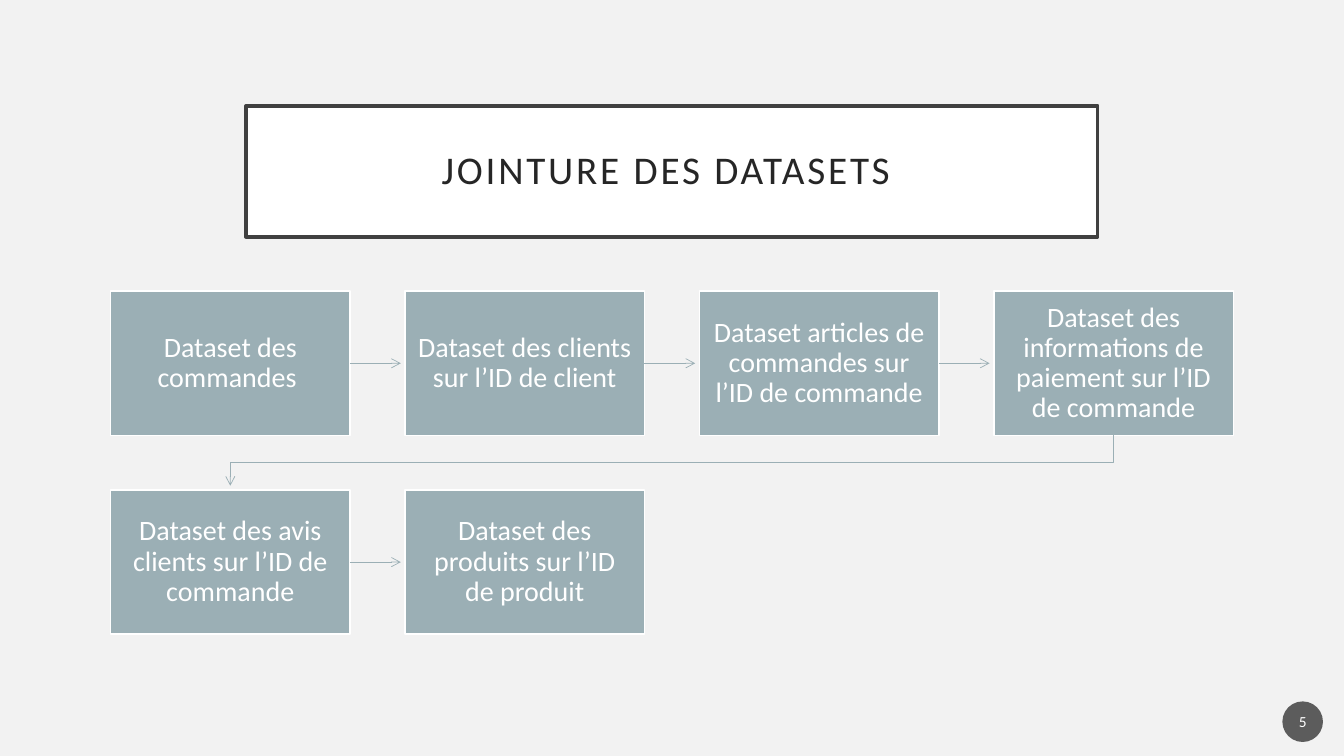
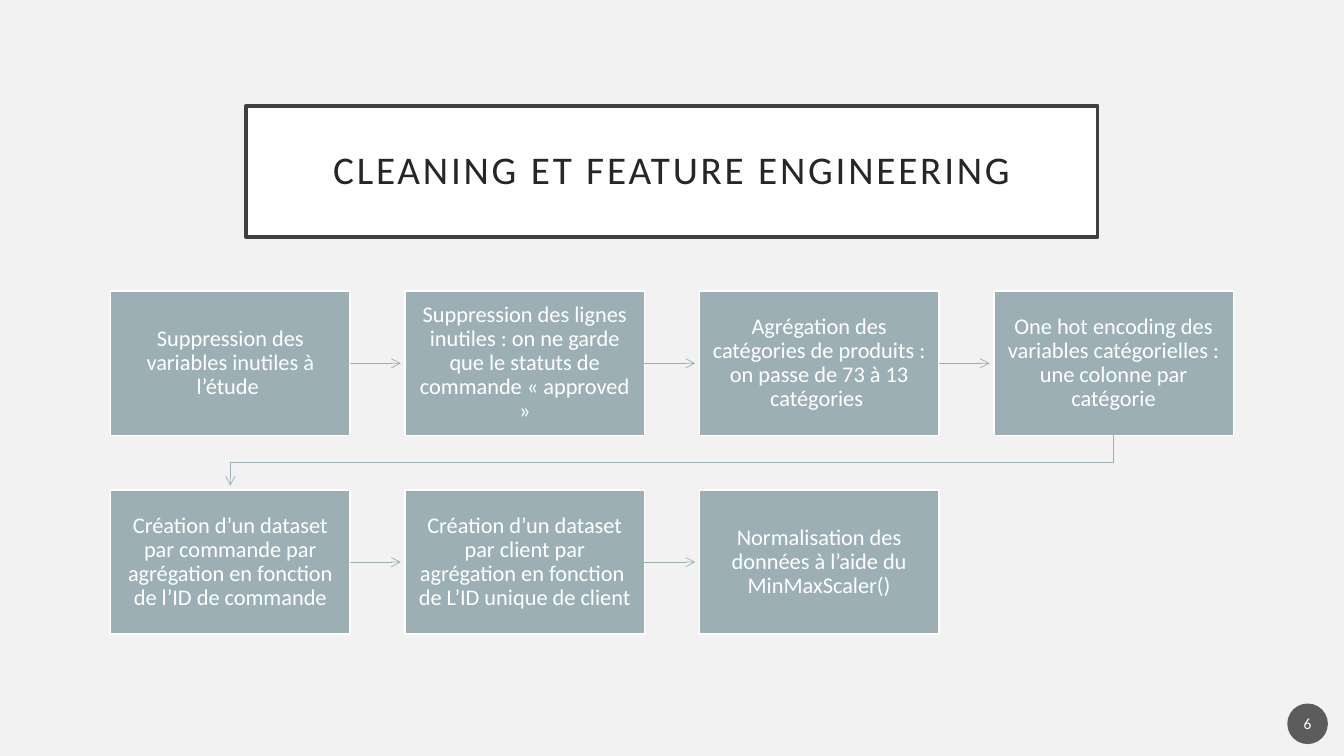
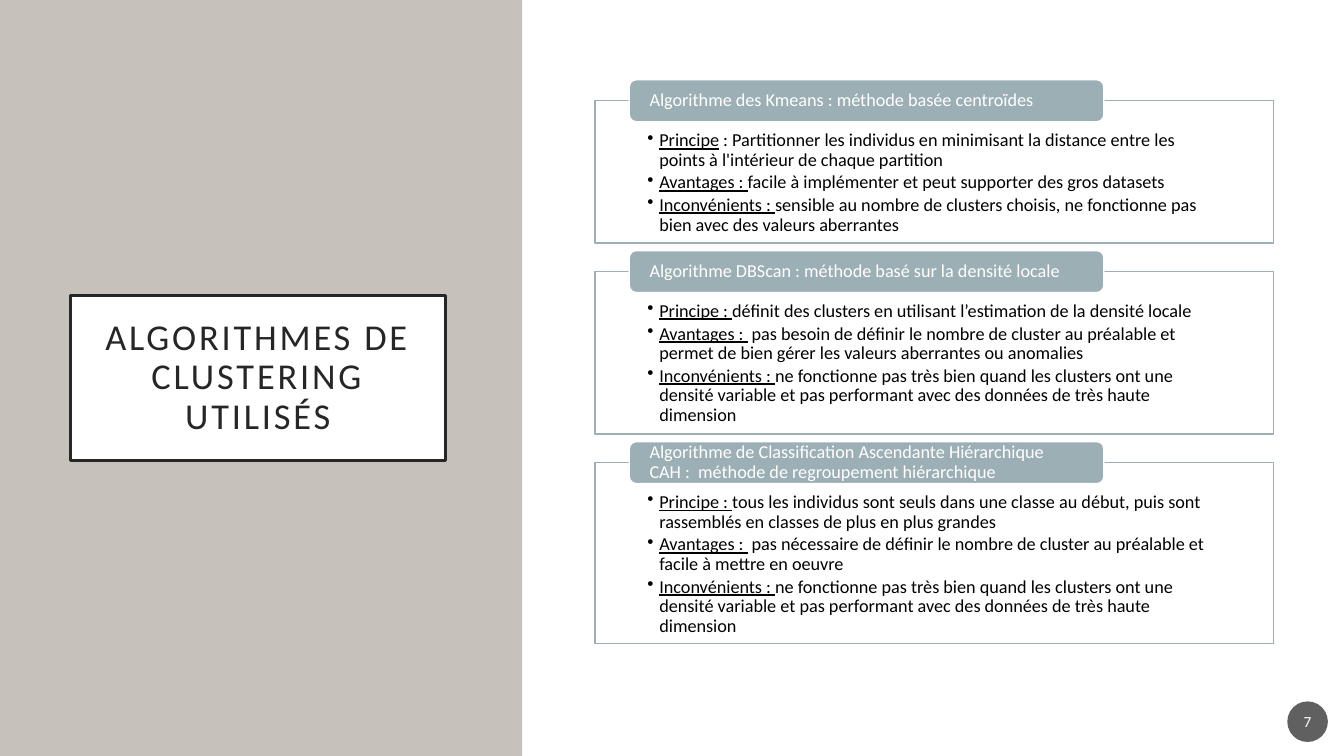
"""Builds three slides on joining datasets, cleaning them and clustering algorithms."""
from lxml import etree
from pptx import Presentation
from pptx import util as u
from pptx.dml import color
from pptx.enum import shapes, text
from pptx.oxml import ns

FONT = "Calibri"
INK, FRAME, STEEL, WHITE = "262626", "404040", "9BAFB5", "FFFFFF"
PALE, SAND, BLACK, BADGE = "F2F2F2", "C6C1BA", "000000", "1D1D1D"
LEFT, CENTER = text.PP_ALIGN.LEFT, text.PP_ALIGN.CENTER
RECT, ROUND, OVAL = (shapes.MSO_SHAPE.RECTANGLE, shapes.MSO_SHAPE.ROUNDED_RECTANGLE,
                     shapes.MSO_SHAPE.OVAL)

COLUMNS = 4
STEP_LEFT, STEP_TOP, STEP_WIDTH, STEP_HEIGHT = 79, 208, 171, 103
STEP_ACROSS, STEP_DOWN, ARROW_GAP = 210.3, 142, 3
PANEL_LEFT, PANEL_TOP, PANEL_WIDTH, PANEL_GAP = 425, 72, 484.5, 20.5

FLOWS = [
    {"title": "JOINTURE DES DATASETS ", "number": "5", "badge": (916, 501), "size": 20,
     "steps": [
         "Dataset des commandes ",
         "Dataset des clients sur l’ID de client",
         "Dataset articles de commandes sur l’ID de commande",
         "Dataset des informations de paiement sur l’ID de commande",
         "Dataset des avis clients sur l’ID de commande",
         "Dataset des produits sur l’ID de produit"]},
    {"title": "CLEANING ET FEATURE ENGINEERING", "number": "6", "badge": (919.5, 502.5), "size": 16,
     "steps": [
         "Suppression des variables inutiles à l’étude ",
         "Suppression des lignes inutiles : on ne garde que le statuts de commande « approved »",
         "Agrégation des catégories de produits : on passe de 73 à 13 catégories ",
         "One hot encoding des variables catégorielles : une colonne par catégorie",
         "Création d’un dataset par commande par agrégation en fonction de l’ID de commande",
         "Création d’un dataset par client par agrégation en fonction  de L’ID unique de client",
         "Normalisation des données à l’aide du MinMaxScaler()"]},
]

DENSITY_LIMITS = ("ne fonctionne pas très bien quand les clusters ont une densité variable "
                  "et pas performant avec des données de très haute dimension")
ALGORITHMS = [
    ("Algorithme des Kmeans : méthode basée centroïdes", 101.5, [
        ("Principe", " : Partitionner les individus en minimisant la distance entre les points "
                     "à l'intérieur de chaque partition"),
        ("Avantages : ", "facile à implémenter et peut supporter des gros datasets"),
        ("Inconvénients : ", "sensible au nombre de clusters choisis, ne fonctionne pas bien "
                             "avec des valeurs aberrantes")]),
    ("Algorithme DBScan : méthode basé sur la densité locale", 116, [
        ("Principe : ", "définit des clusters en utilisant l’estimation de la densité locale"),
        ("Avantages : ", " pas besoin de définir le nombre de cluster au préalable et permet "
                         "de bien gérer les valeurs aberrantes ou anomalies"),
        ("Inconvénients : ", DENSITY_LIMITS)]),
    ("Algorithme de Classification Ascendante Hiérarchique CAH :  "
     "méthode de regroupement hiérarchique", 129, [
         ("Principe : ", "tous les individus sont seuls dans une classe au début, puis sont "
                         "rassemblés en classes de plus en plus grandes"),
         ("Avantages : ", " pas nécessaire de définir le nombre de cluster au préalable et "
                          "facile à mettre en oeuvre"),
         ("Inconvénients : ", DENSITY_LIMITS)]),
]


def rgb(value):
    return color.RGBColor.from_string(value)


def add_xml(parent, tag, **attributes):
    return etree.SubElement(parent, ns.qn(tag), attributes)


def paint(shape, fill, line=None, width=1, alpha=None):
    shape.fill.solid()
    shape.fill.fore_color.rgb = rgb(fill)
    if alpha:
        add_xml(shape.fill._xPr.find(".//" + ns.qn("a:srgbClr")), "a:alpha", val=str(alpha * 1000))
    if line:
        shape.line.color.rgb = rgb(line)
        shape.line.width = u.Pt(width)
    else:
        shape.line.fill.background()


def add_box(page, kind, left, top, width, height, **look):
    box = page.shapes.add_shape(kind, u.Pt(left), u.Pt(top), u.Pt(width), u.Pt(height))
    box.shadow.inherit = False
    paint(box, **look)
    return box


def write(shape, paragraphs, size, ink=WHITE, align=CENTER, insets=(8.6, 8.6, 8.6, 8.6),
          anchor=text.MSO_ANCHOR.MIDDLE, leading=0.9, after=0, tracking=0, bullet=False):
    frame = shape.text_frame
    frame.word_wrap = True
    frame.auto_size = text.MSO_AUTO_SIZE.NONE
    frame.vertical_anchor = anchor
    (frame.margin_left, frame.margin_top,
     frame.margin_right, frame.margin_bottom) = [u.Pt(inset) for inset in insets]
    for index, parts in enumerate(paragraphs):
        para = frame.add_paragraph() if index else frame.paragraphs[0]
        para.alignment = align
        para.line_spacing = leading
        para.space_after = u.Pt(after)
        if bullet:
            props = para._p.get_or_add_pPr()
            props.set("marL", str(u.Pt(8.6)))
            props.set("indent", str(-u.Pt(8.6)))
            add_xml(props, "a:buChar", char="•")
        for order, words in enumerate(parts):
            span = para.add_run()
            span.text = words
            span.font.name = FONT
            span.font.size = u.Pt(size)
            span.font.color.rgb = rgb(ink)
            if len(parts) > 1:
                span.font.underline = order == 0
            if tracking:
                span.font._element.set("spc", str(tracking * 100))


def add_page(deck, background, title, place, size, frame, number, badge):
    page = deck.slides.add_slide(deck.slide_layouts[5])
    page.background.fill.solid()
    page.background.fill.fore_color.rgb = rgb(background)
    heading = page.shapes.title
    heading.left, heading.top, heading.width, heading.height = [u.Pt(side) for side in place]
    paint(heading, WHITE, frame, 2.5)
    write(heading, [[title]], size, INK, insets=(14.4,) * 4, tracking=2)
    circle = add_box(page, OVAL, *badge, 29, 29, fill=BADGE, alpha=70)
    write(circle, [[number]], 11, insets=(1.4, 3.6, 1.4, 3.6), leading=1)
    return page


def style_arrow(shape):
    shape.line.color.rgb = rgb(STEEL)
    shape.line.width = u.Pt(0.5)
    add_xml(shape.line._get_or_add_ln(), "a:tailEnd", type="arrow")


def add_arrow(page, source, left, top):
    arrow = page.shapes.add_connector(shapes.MSO_CONNECTOR.STRAIGHT, u.Pt(left), u.Pt(top),
                                      u.Pt(left + STEP_ACROSS - STEP_WIDTH - ARROW_GAP), u.Pt(top))
    arrow.begin_connect(source, 3)
    style_arrow(arrow)
    add_xml(arrow._element.spPr, "a:effectLst")


def add_return_arrow(page, left, top):
    first = STEP_LEFT + STEP_WIDTH / 2
    end = top + STEP_DOWN - STEP_HEIGHT
    middle = (top + end) / 2
    builder = page.shapes.build_freeform(u.Pt(left), u.Pt(top))
    corners = [(left, middle), (first, middle), (first, end - ARROW_GAP)]
    builder.add_line_segments([(u.Pt(x), u.Pt(y)) for x, y in corners], close=False)
    arrow = builder.convert_to_shape()
    arrow.fill.background()
    arrow.shadow.inherit = False
    style_arrow(arrow)


def add_flow(deck, flow):
    page = add_page(deck, PALE, flow["title"], (175.7, 75.6, 608.4, 93.6), 28, FRAME,
                    flow["number"], flow["badge"])
    last = len(flow["steps"]) - 1
    for index, words in enumerate(flow["steps"]):
        row, column = divmod(index, COLUMNS)
        left, top = STEP_LEFT + column * STEP_ACROSS, STEP_TOP + row * STEP_DOWN
        box = add_box(page, RECT, left, top, STEP_WIDTH, STEP_HEIGHT, fill=STEEL, line=WHITE)
        write(box, [[words]], flow["size"])
        if index == last:
            continue
        if column == COLUMNS - 1:
            add_return_arrow(page, left + STEP_WIDTH / 2, top + STEP_HEIGHT)
        else:
            add_arrow(page, box, left + STEP_WIDTH, top + STEP_HEIGHT / 2)


def add_algorithms(deck):
    page = add_page(deck, WHITE, "ALGORITHMES DE CLUSTERING UTILISÉS", (50.4, 211, 267.8, 118),
                    26, INK, "7", (919.5, 501))
    sidebar = add_box(page, RECT, 0, 0, 373, 540, fill=SAND)
    page.shapes.title._element.addprevious(sidebar._element)
    top = PANEL_TOP
    for name, height, points in ALGORITHMS:
        panel = add_box(page, RECT, PANEL_LEFT, top, PANEL_WIDTH, height,
                        fill=WHITE, line=STEEL, alpha=90)
        write(panel, points, 13, BLACK, LEFT, (37.4, 21.6, 37.4, 7.2),
              text.MSO_ANCHOR.TOP, after=2, bullet=True)
        label = add_box(page, ROUND, PANEL_LEFT + 24.5, top - 15, 339, 30, fill=STEEL, line=WHITE)
        write(label, [[name]], 13, align=LEFT, insets=(13, 0, 13, 0))
        top += height + PANEL_GAP


def main():
    deck = Presentation()
    deck.slide_width, deck.slide_height = u.Pt(960), u.Pt(540)
    for flow in FLOWS:
        add_flow(deck, flow)
    add_algorithms(deck)
    deck.save("out.pptx")


if __name__ == "__main__":
    main()
